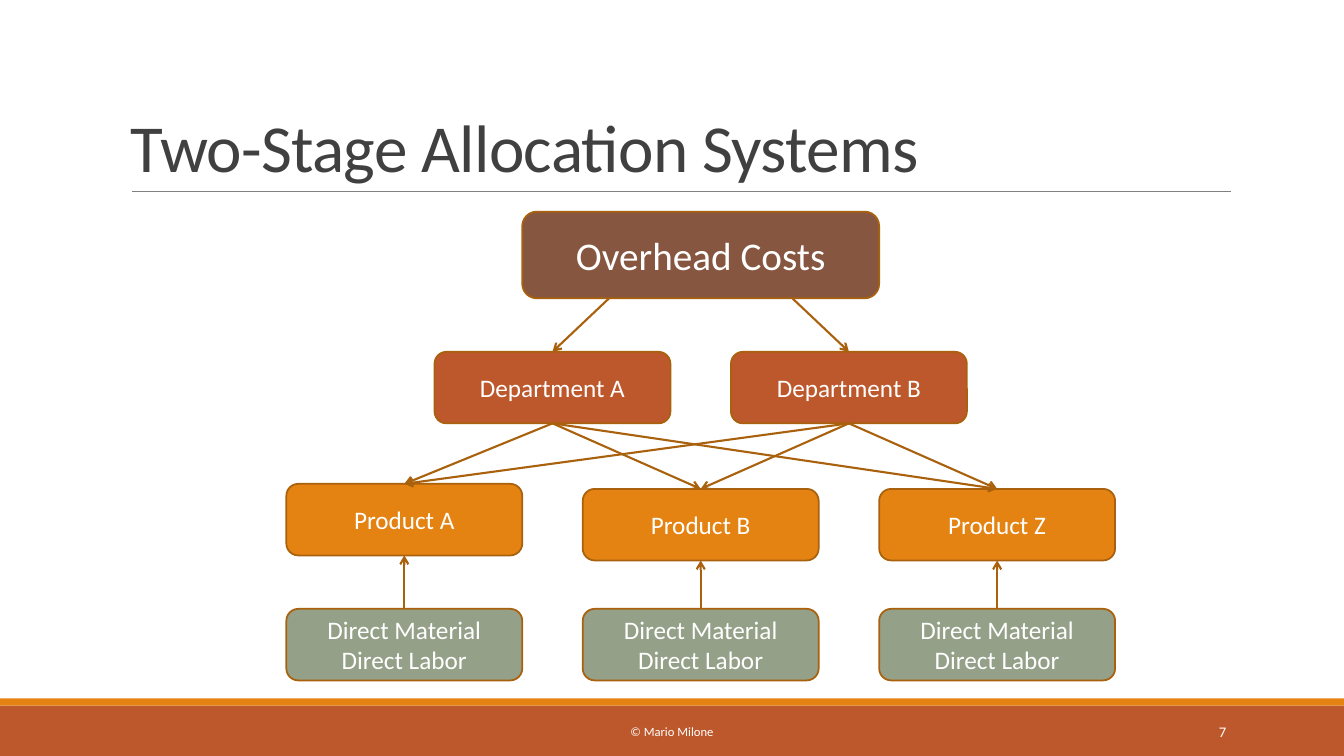
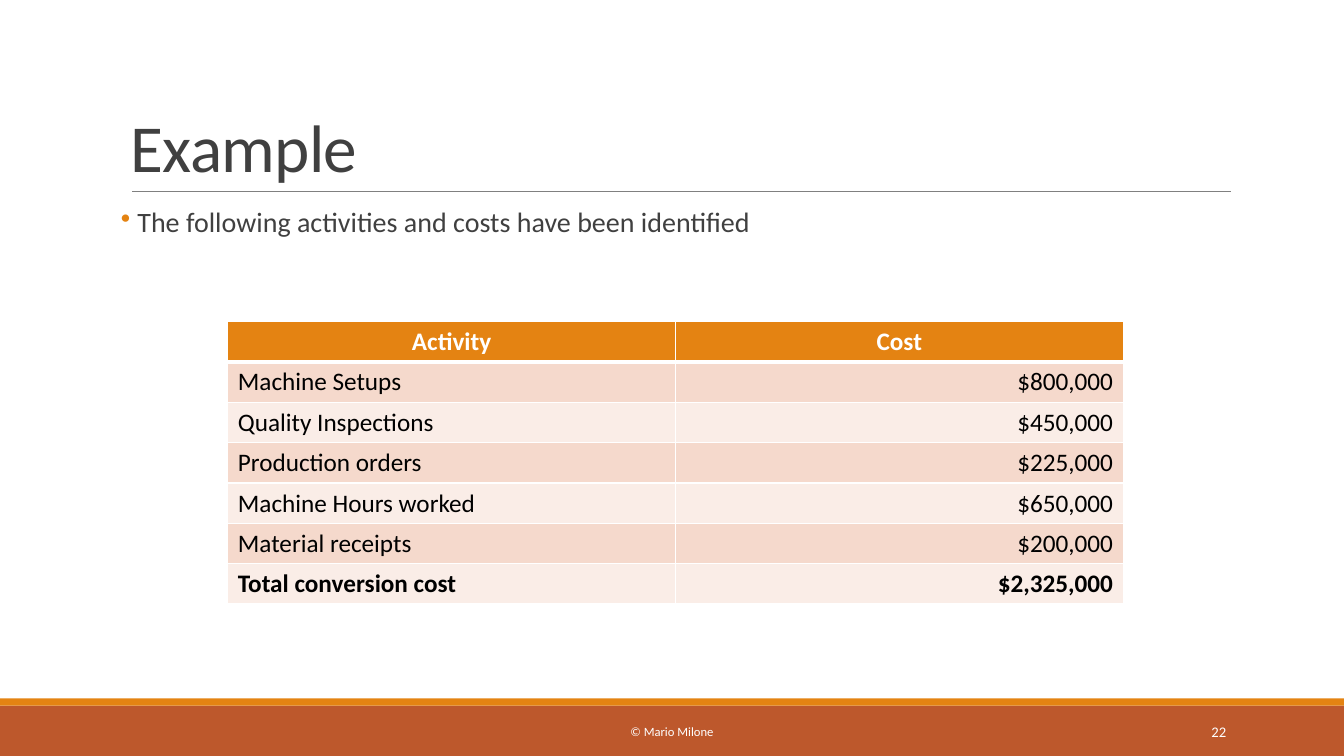
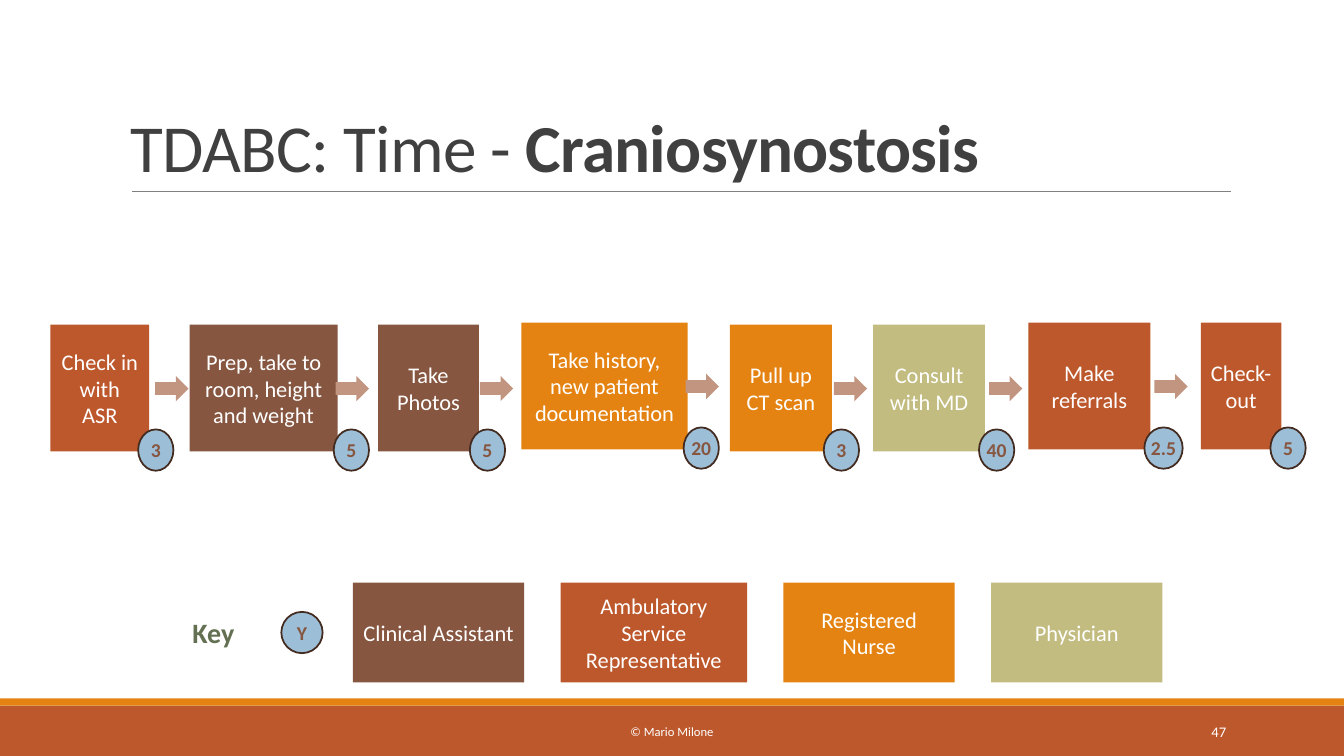
from lxml import etree
from pptx import Presentation
from pptx.dml.color import RGBColor
from pptx.enum.shapes import MSO_CONNECTOR, MSO_SHAPE
from pptx.enum.text import MSO_ANCHOR, PP_ALIGN
from pptx.oxml.ns import qn
from pptx.util import Inches, Pt

STRAIGHT = MSO_CONNECTOR.STRAIGHT
RECTANGLE = MSO_SHAPE.RECTANGLE
ROUNDED = MSO_SHAPE.FLOWCHART_ALTERNATE_PROCESS
ELLIPSE = MSO_SHAPE.OVAL
BLOCK_ARROW = MSO_SHAPE.RIGHT_ARROW
LEFT, CENTER, RIGHT = PP_ALIGN.LEFT, PP_ALIGN.CENTER, PP_ALIGN.RIGHT
TOP, MIDDLE, BOTTOM = MSO_ANCHOR.TOP, MSO_ANCHOR.MIDDLE, MSO_ANCHOR.BOTTOM

FONT = "Calibri"
WIDTH, HEIGHT = 13.33, 7.5
WHITE, BLACK, DARK = "FFFFFF", "000000", "404040"
ORANGE, RUST, BROWN = "E48312", "BD582C", "865640"
SAGE, OLIVE, OCHRE = "94A088", "C2BC80", "A9610D"
TAN, BLUE, ESPRESSO, MOSS = "C29580", "9DBED7", "432B20", "637052"
color = RGBColor.from_string


def add_box(page, kind, area, text="", size=16, ink=WHITE, fill=None, outline=None,
            bold=False, align=CENTER, anchor=MIDDLE, side_inset=0.1):
    area = [Inches(length) for length in area]
    if kind is None:
        box = page.shapes.add_textbox(*area)
    else:
        box = page.shapes.add_shape(kind, *area)
        box.shadow.inherit = False
        box.fill.solid()
        box.fill.fore_color.rgb = color(fill)
        if outline:
            box.line.color.rgb = color(outline)
            box.line.width = Pt(1.25)
        else:
            box.line.fill.background()
    frame = box.text_frame
    frame.word_wrap = True
    frame.vertical_anchor = anchor
    frame.margin_left = frame.margin_right = Inches(side_inset)
    frame.text = text
    for para in frame.paragraphs:
        para.alignment = align
        for span in para.runs:
            span.font.name = FONT
            span.font.size = Pt(size)
            span.font.bold = bold
            span.font.color.rgb = color(ink)
    return box


def add_line(page, ends, ink, weight):
    line = page.shapes.add_connector(STRAIGHT, *[Inches(length) for length in ends])
    line.line.color.rgb = color(ink)
    line.line.width = Pt(weight)
    etree.SubElement(line._element.spPr, qn("a:effectLst"))
    return line


deck = Presentation()
deck.slide_width, deck.slide_height = Inches(WIDTH), Inches(HEIGHT)
blank = deck.slide_layouts[6]

pages = []
for title_parts, number in [
    (["Two-Stage Allocation Systems"], "7"),
    (["Example"], "22"),
    (["TDABC: Time - ", "Craniosynostosis"], "47"),
]:
    page = deck.slides.add_slide(blank)
    pages.append(page)
    add_box(page, RECTANGLE, (0, 7, WIDTH, 0.5), fill=RUST)
    add_box(page, RECTANGLE, (0, 6.93, WIDTH, 0.07), fill=ORANGE)
    add_line(page, (1.31, 1.9, 12.21, 1.9), "808080", 0.5)
    title = add_box(page, None, (1.2, 0.31, 11, 1.59), align=LEFT, anchor=BOTTOM)
    para = title.text_frame.paragraphs[0]
    para.line_spacing = 0.85
    for index, part in enumerate(title_parts):
        span = para.add_run()
        span.text = part
        span.font.name = FONT
        span.font.size = Pt(48)
        span.font.bold = index > 0
        span.font.color.rgb = color(DARK)
        span._r.get_or_add_rPr().set("spc", "-50")
    add_box(page, None, (4.03, 7.06, 5.27, 0.4), "© Mario Milone", 9)
    add_box(page, None, (10.83, 7.06, 1.43, 0.4), number, 10.5, align=RIGHT)

allocation, example, timing = pages

centers = [4.01 + 1.47 * column for column in range(5)]
overhead = add_box(allocation, ROUNDED, (centers[2] - 1.77, 2.1, 3.54, 0.86),
                   "Overhead Costs", 28, fill=BROWN, outline=OCHRE)
nodes = {}
for name, text, column, top, fill in [
    ("department a", "Department A", 1, 3.49, RUST),
    ("department b", "Department B", 3, 3.49, RUST),
    ("product a", "Product A", 0, 4.8, ORANGE),
    ("product b", "Product B", 2, 4.85, ORANGE),
    ("product z", "Product Z", 4, 4.85, ORANGE),
    ("direct a", "Direct Material\nDirect Labor", 0, 6.04, SAGE),
    ("direct b", "Direct Material\nDirect Labor", 2, 6.04, SAGE),
    ("direct z", "Direct Material\nDirect Labor", 4, 6.04, SAGE),
]:
    nodes[name] = add_box(allocation, ROUNDED, (centers[column] - 1.17, top, 2.34, 0.71),
                          text, 18, fill=fill, outline=OCHRE)

links = []
for department in ("department a", "department b"):
    links.append((overhead, 0, nodes[department], 0))
    for product in ("product a", "product b", "product z"):
        links.append((nodes[department], 2, nodes[product], 0))
for letter in "abz":
    links.append((nodes["direct " + letter], 0, nodes["product " + letter], 2))
for start, start_side, end, end_side in links:
    arrow = add_line(allocation, (0, 0, 0, 0), OCHRE, 1.5)
    arrow.begin_connect(start, start_side)
    arrow.end_connect(end, end_side)
    etree.SubElement(arrow.line._get_or_add_ln(), qn("a:tailEnd"), type="arrow")
overhead._element.getparent().append(overhead._element)

body = add_box(example, None, (1.2, 2.02, 11, 4.4),
               " The following activities and costs have been identified",
               20, DARK, align=LEFT, anchor=TOP, side_inset=0)
para = body.text_frame.paragraphs[0]
para.line_spacing = 0.9
para.space_before, para.space_after = Pt(12), Pt(2)
properties = para._p.get_or_add_pPr()
properties.set("marL", str(Inches(0.1)))
properties.set("indent", str(-Inches(0.1)))
bullet_color = etree.SubElement(properties, qn("a:buClr"))
etree.SubElement(bullet_color, qn("a:srgbClr"), val=ORANGE)
etree.SubElement(properties, qn("a:buChar"), char="•")

costs = [
    ("Activity", "Cost"),
    ("Machine Setups", "$800,000"),
    ("Quality Inspections", "$450,000"),
    ("Production orders", "$225,000"),
    ("Machine Hours worked", "$650,000"),
    ("Material receipts", "$200,000"),
    ("Total conversion cost", "$2,325,000"),
]
table = example.shapes.add_table(len(costs), 2, Inches(2.26), Inches(3.19),
                                 Inches(8.88), Inches(0.4 * len(costs))).table
for row, texts in enumerate(costs):
    header = row == 0
    for column, text in enumerate(texts):
        cell = table.cell(row, column)
        cell.text = text
        para = cell.text_frame.paragraphs[0]
        para.alignment = CENTER if header else (LEFT, RIGHT)[column]
        font = para.runs[0].font
        font.name, font.size = FONT, Pt(18)
        font.bold = row in (0, len(costs) - 1)
        font.color.rgb = color(WHITE if header else BLACK)
        for side in "LRTB":
            thick = (row, side) in ((0, "B"), (1, "T"))
            border = etree.SubElement(cell._tc.get_or_add_tcPr(), qn("a:ln" + side),
                                      w=str(Pt(3 if thick else 1)))
            paint = etree.SubElement(border, qn("a:solidFill"))
            etree.SubElement(paint, qn("a:srgbClr"), val=WHITE)
        cell.fill.solid()
        cell.fill.fore_color.rgb = color(ORANGE if header else ("FAEDE7", "F5D9CC")[row % 2])

badges = [("Y", 2.79, 6.07, 0.41)]
for text, left, top, width, fill, arrow_left, minutes, badge_left in [
    ("Check in with ASR", 0.5, 3.22, 0.98, RUST, 1.54, "3", 1.37),
    ("Prep, take to room, height and weight", 1.88, 3.22, 1.47, BROWN, 3.33, "5", 3.31),
    ("Take Photos", 3.75, 3.22, 1, BROWN, 4.76, "5", 4.66),
    ("Take history, new patient documentation", 5.17, 3.2, 1.65, ORANGE, 6.8, "20", 6.78),
    ("Pull up CT scan", 7.24, 3.22, 1.01, ORANGE, 8.27, "3", 8.17),
    ("Consult with MD", 8.66, 3.22, 1.11, OLIVE, 9.81, "40", 9.71),
    ("Make referrals", 10.2, 3.2, 1.21, RUST, 11.45, "2.5", 11.35),
    ("Check-out", 11.91, 3.2, 0.8, RUST, None, "5", 12.6),
]:
    add_box(timing, RECTANGLE, (left, top, width, 1.26), text, fill=fill)
    if arrow_left:
        add_box(timing, BLOCK_ARROW, (arrow_left, top + 0.51, 0.33, 0.25), fill=TAN)
    badges.append((minutes, badge_left, top + 1.04, 0.38 if "." in minutes else 0.35))

add_box(timing, None, (1.74, 6.09, 0.75, 0.37), "Key", 20, MOSS, bold=True)
left = 3.5
for role, width, fill in [
    ("Clinical Assistant", 1.7, BROWN),
    ("Ambulatory Service Representative", 1.85, RUST),
    ("Registered Nurse", 1.7, ORANGE),
    ("Physician", 1.7, OLIVE),
]:
    add_box(timing, RECTANGLE, (left, 5.78, width, 0.99), role, fill=fill)
    left += width + 0.36

for text, left, top, width in badges:
    add_box(timing, ELLIPSE, (left, top, width, 0.41), text, 14, BROWN,
            fill=BLUE, outline=ESPRESSO, bold=True, side_inset=0)

deck.save("out.pptx")
